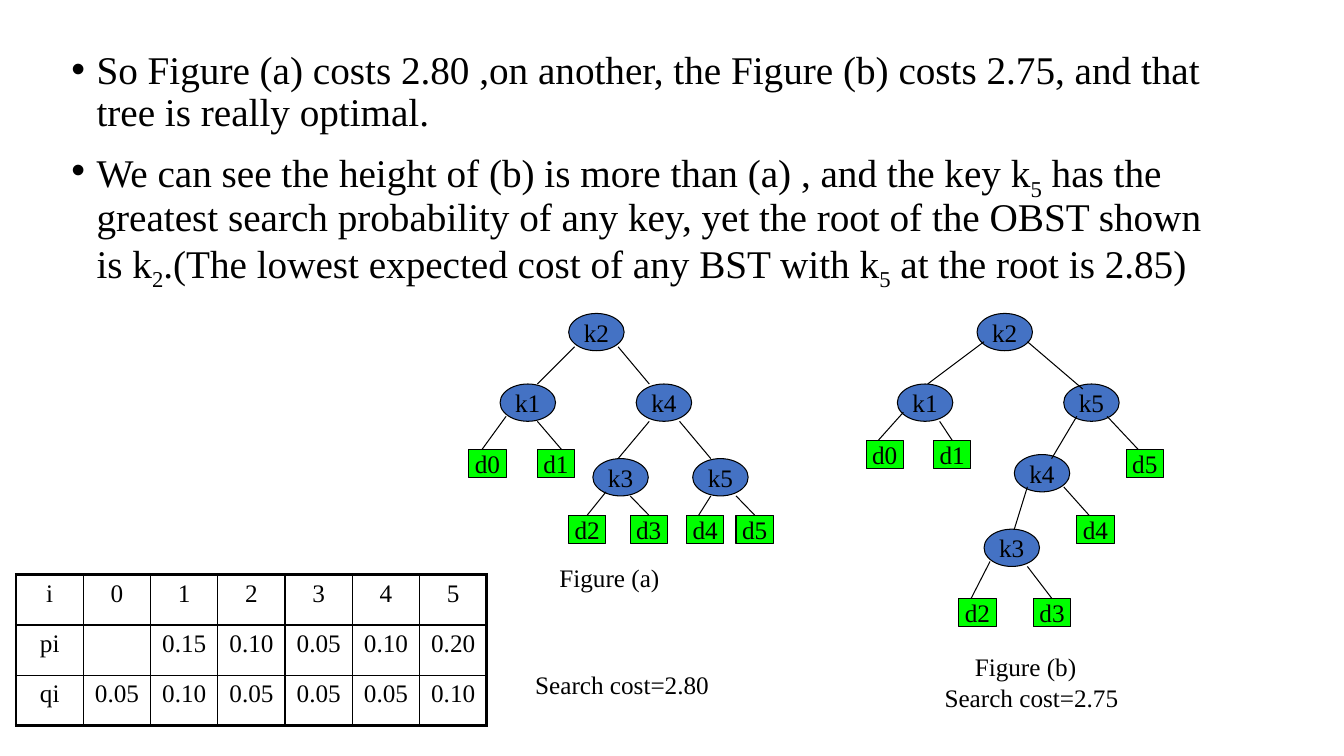
from lxml import etree
from pptx import Presentation
from pptx import util as u
from pptx.dml.color import RGBColor
from pptx.enum import shapes, text
from pptx.oxml.ns import qn

BLACK, KEY_BLUE, LEAF_GREEN = "000000", "4472C4", "00FF00"
color = RGBColor.from_string


def px(*lengths):
    """Turn lengths at 100 px to the inch into EMU."""
    return [u.Emu(length * 9144) for length in lengths]


def write(paragraph, content, size=18, **paragraph_format):
    """Add runs to a paragraph; text between underscores becomes subscript."""
    for name, value in paragraph_format.items():
        setattr(paragraph, name, value)
    for index, piece in enumerate(content.split("_")):
        run = paragraph.add_run()
        run.text = piece
        for name, value in {"name": "Times New Roman", "size": u.Pt(size)}.items():
            setattr(run.font, name, value)
        run.font.color.rgb = color(BLACK)
        if index % 2:
            run.font._element.set("baseline", "-25000")


presentation = Presentation()
presentation.slide_width, presentation.slide_height = px(1333, 750)
slide = presentation.slides.add_slide(presentation.slide_layouts[6])

# Bulleted conclusions
bullets = [
    "So Figure (a) costs 2.80 ,on another, the Figure (b) costs 2.75, "
    "and that tree is really optimal.",
    "We can see the height of (b) is more than (a) , and the key k_5_ has the "
    "greatest search probability of any key, yet the root of the OBST shown is "
    "k_2_.(The lowest expected cost of any BST with k_5_ at the root is 2.85)",
]
frame = slide.shapes.add_textbox(*px(61, 45, 1163, 371)).text_frame
frame.word_wrap = True
for index, bullet in enumerate(bullets):
    paragraph = frame.add_paragraph() if index else frame.paragraphs[0]
    write(paragraph, bullet, 28, line_spacing=0.9, space_before=u.Pt(10))
    properties = paragraph._p.get_or_add_pPr()
    indent, = px(25)
    properties.set("marL", str(indent))
    properties.set("indent", str(-indent))
    etree.SubElement(properties, qn("a:buFont"), typeface="Arial")
    etree.SubElement(properties, qn("a:buChar"), char="•")

# Tree nodes: label, left, top; leaves add the line's start x, start y and end x
keys = [
    ("k2", 564, 311), ("k1", 496, 381), ("k4", 631, 381), ("k3", 588, 455), ("k5", 687, 455),
    ("k2", 969, 311), ("k1", 890, 381), ("k5", 1055, 381), ("k4", 1006, 451), ("k3", 976, 525),
]
leaves = [
    ("d0", 465, 446, 502, 413, 478), ("d1", 533, 446, 533, 418, 557),
    ("d2", 564, 511, 601, 488, 582), ("d3", 625, 511, 625, 492, 644),
    ("d4", 681, 511, 705, 492, 693), ("d5", 730, 511, 730, 492, 748),
    ("d0", 859, 437, 896, 409, 871), ("d1", 926, 437, 932, 418, 945),
    ("d2", 951, 594, 982, 557, 963), ("d3", 1025, 594, 1019, 562, 1043),
    ("d4", 1068, 511, 1055, 483, 1080), ("d5", 1117, 446, 1098, 413, 1129),
]
key_lines = [
    (570, 344, 533, 381), (613, 344, 644, 381), (644, 418, 613, 455), (674, 418, 705, 455),
    (976, 339, 920, 381), (1019, 339, 1074, 386), (1068, 413, 1043, 455), (1019, 483, 1006, 525),
]
lines = [(line, None) for line in key_lines]
node_kinds = [
    (keys, shapes.MSO_SHAPE.OVAL, KEY_BLUE, 55, 37),
    (leaves, shapes.MSO_SHAPE.RECTANGLE, LEAF_GREEN, 37, 28),
]
for nodes, preset, fill, width, height in node_kinds:
    for label, left, top, *line in nodes:
        shape = slide.shapes.add_shape(preset, *px(left, top, width, height))
        shape.shadow.inherit = False
        shape.fill.solid()
        shape.fill.fore_color.rgb = color(fill)
        shape.line.color.rgb = color(BLACK)
        shape.line.width = u.Pt(0.75)
        shape.text_frame.word_wrap = False
        shape.text_frame.vertical_anchor = text.MSO_ANCHOR.MIDDLE
        write(shape.text_frame.paragraphs[0], label, alignment=text.PP_ALIGN.CENTER)
        if line:
            centered = abs(line[2] - left - width / 2) < 1
            lines.append(((*line, top), shape if centered else None))

for ends, leaf in lines:
    connector = slide.shapes.add_connector(shapes.MSO_CONNECTOR.STRAIGHT, *px(*ends))
    if leaf is not None:
        connector.end_connect(leaf, 0)
    connector.line.color.rgb = color(BLACK)
    connector.line.width = u.Pt(0.75)
    etree.SubElement(connector._element.spPr, qn("a:effectLst"))

# Captions
captions = [
    ("Figure (a)", 545, 553, 176),
    ("Figure (b)", 957, 641, 160),
    ("Search cost=2.80", 521, 659, 214),
    ("Search cost=2.75", 927, 672, 214),
]
for caption, left, top, width in captions:
    frame = slide.shapes.add_textbox(*px(left, top, width, 40)).text_frame
    frame.word_wrap = True
    write(frame.paragraphs[0], caption)

# Probability table
probabilities = [
    ["i", "0", "1", "2", "3", "4", "5"],
    ["pi", "", "0.15", "0.10", "0.05", "0.10", "0.20"],
    ["qi", "0.05", "0.10", "0.05", "0.05", "0.05", "0.10"],
]
last_row, last_column = len(probabilities) - 1, len(probabilities[0]) - 1
table = slide.shapes.add_table(last_row + 1, last_column + 1, *px(16, 570, 467, 150)).table
table.first_row = table.horz_banding = False
for row, values in enumerate(probabilities):
    for column, value in enumerate(values):
        cell = table.cell(row, column)
        if value:
            write(cell.text_frame.paragraphs[0], value, alignment=text.PP_ALIGN.CENTER)
        outer_sides = {
            "a:lnL": column == 0, "a:lnR": column == last_column,
            "a:lnT": row == 0, "a:lnB": row == last_row,
        }
        for side, outer in outer_sides.items():
            border = etree.SubElement(cell._tc.get_or_add_tcPr(), qn(side),
                                      w=str(u.Pt(2.25 if outer else 1)))
            border_fill = etree.SubElement(border, qn("a:solidFill"))
            etree.SubElement(border_fill, qn("a:srgbClr"), val=BLACK)
        cell.fill.background()

presentation.save("out.pptx")
